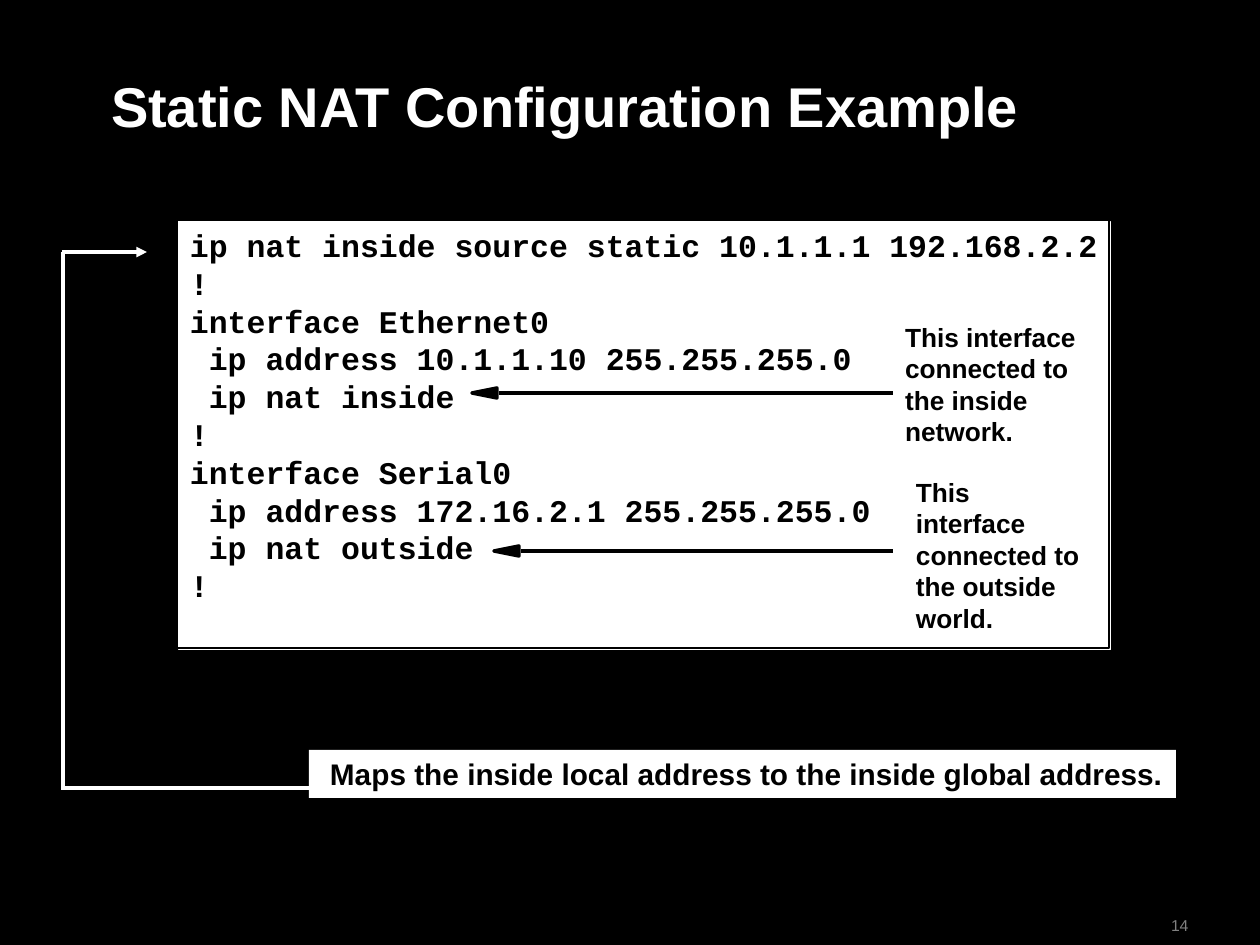
from lxml import etree
from pptx import Presentation
from pptx.dml.color import RGBColor
from pptx.enum.shapes import MSO_CONNECTOR, MSO_SHAPE
from pptx.enum.text import MSO_ANCHOR, MSO_AUTO_SIZE, PP_ALIGN
from pptx.oxml.ns import qn
from pptx.util import Pt

BLACK = RGBColor(0, 0, 0)
WHITE = RGBColor(255, 255, 255)
GRAY = RGBColor(128, 128, 128)
RECT = MSO_SHAPE.RECTANGLE
STRAIGHT = MSO_CONNECTOR.STRAIGHT
LEFT = PP_ALIGN.LEFT
TOP, MIDDLE, BOTTOM = MSO_ANCHOR.TOP, MSO_ANCHOR.MIDDLE, MSO_ANCHOR.BOTTOM
NO_FIT = MSO_AUTO_SIZE.NONE
SCALE = 914400 / 126

CODE = """ip nat inside source static 10.1.1.1 192.168.2.2
!
interface Ethernet0
 ip address 10.1.1.10 255.255.255.0
 ip nat inside
!
interface Serial0
 ip address 172.16.2.1 255.255.255.0
 ip nat outside
!"""


def px(*vals):
    """Turn pixel lengths into EMU."""
    return [round(v * SCALE) for v in vals]


def write(shape, text, size, color=BLACK, font="Arial", bold=True,
          anchor=TOP, wrap=True, pad=(13, 6, 13, 6), space=1.0):
    frame = shape.text_frame
    frame.text = text
    frame.auto_size = NO_FIT
    frame.word_wrap = wrap
    frame.vertical_anchor = anchor
    (frame.margin_left, frame.margin_top,
     frame.margin_right, frame.margin_bottom) = px(*pad)
    for para in frame.paragraphs:
        para.alignment = LEFT
        para.line_spacing = space
        para.font.size = Pt(size)
        para.font.name = font
        para.font.bold = bold
        para.font.color.rgb = color


def add_title(slide, text):
    title = slide.shapes.title
    title.left, title.top, title.width, title.height = px(100, 30, 1051, 158)
    write(title, text, 32, WHITE, anchor=MIDDLE, pad=(11, 6, 11, 6), space=0.9)


def add_panel(slide, box):
    panel = slide.shapes.add_shape(RECT, *px(*box))
    panel.shadow.inherit = False
    panel.fill.solid()
    panel.fill.fore_color.rgb = WHITE
    panel.line.fill.background()
    return panel


def add_edge(panel):
    """Give a panel a black outline and a thin hard white shadow."""
    panel.line.color.rgb = BLACK
    panel.line.width = Pt(1)
    effects = panel._element.spPr.find(qn("a:effectLst"))
    shade = etree.SubElement(effects, qn("a:outerShdw"), blurRad="0",
                             dist=str(Pt(1.4)), dir="2700000", algn="ctr",
                             rotWithShape="0")
    etree.SubElement(shade, qn("a:srgbClr"), val=str(WHITE))


def add_note(slide, text, box, size=15, **style):
    write(slide.shapes.add_textbox(*px(*box)), text, size, **style)


def add_line(slide, start, end, color):
    line = slide.shapes.add_connector(STRAIGHT, *px(*start, *end))
    line.line.color.rgb = color
    line.line.width = Pt(2)
    etree.SubElement(line._element.spPr, qn("a:effectLst"))
    return line


def add_arrow(slide, tip, tail, y):
    """Draw a black arrow that points left, with a long slim head."""
    base = tip + 25
    add_line(slide, (base + 2, y), (tail, y), BLACK)
    path = slide.shapes.build_freeform(*px(base, y - 5), scale=1.0)
    path.add_line_segments([px(base, y + 5), px(tip, y)], close=True)
    head = path.convert_to_shape()
    head.shadow.inherit = False
    head.fill.solid()
    head.fill.fore_color.rgb = BLACK
    head.line.color.rgb = BLACK
    head.line.width = Pt(2)


def add_route(slide):
    """Lead from the caption up to the first line of code."""
    top = add_line(slide, (147, 252), (62, 252), WHITE)
    etree.SubElement(top.line._get_or_add_ln(), qn("a:headEnd"),
                     type="triangle")
    add_line(slide, (63, 252), (63, 788), WHITE)
    add_line(slide, (323, 788), (61, 788), WHITE)


def main():
    deck = Presentation()
    deck.slide_width, deck.slide_height = px(1260, 945)
    slide = deck.slides.add_slide(deck.slide_layouts[5])
    slide.background.fill.solid()
    slide.background.fill.fore_color.rgb = BLACK

    add_title(slide, "Static NAT Configuration Example")
    panel = add_panel(slide, (177, 220, 932, 428))
    add_edge(panel)
    write(panel, CODE, 18, font="Courier New", wrap=False)
    add_route(slide)
    caption = add_panel(slide, (309, 750, 867, 48))
    write(caption, "Maps the inside local address to the inside global address.",
          17, wrap=False, pad=(21, 6, 13, 6))

    add_arrow(slide, 472, 893, 393)
    add_arrow(slide, 494, 893, 551)
    add_note(slide, "This interface connected to the inside network.",
             (892, 315, 210, 139))
    add_note(slide, "This interface connected to the outside world.",
             (903, 470, 189, 170), pad=(13, 6, 6, 6))
    add_note(slide, "14", (1160, 910, 95, 30), 9, color=GRAY, bold=False,
             anchor=BOTTOM, pad=(11, 5, 11, 5))
    deck.save("out.pptx")


if __name__ == "__main__":
    main()
